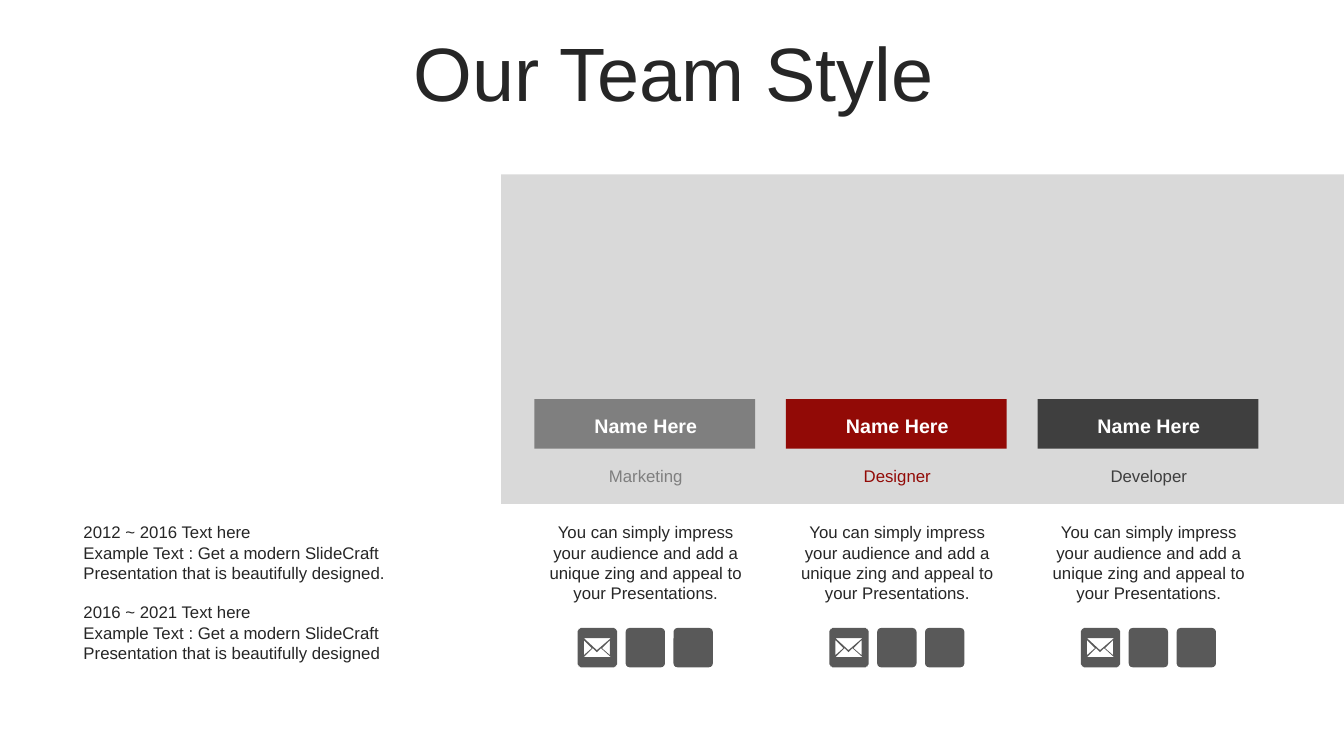
from math import cos, pi, sin

from pptx import Presentation
from pptx.dml.color import RGBColor
from pptx.enum.shapes import MSO_SHAPE
from pptx.enum.text import MSO_ANCHOR, MSO_AUTO_SIZE, PP_ALIGN
from pptx.util import Inches, Pt

RECTANGLE = MSO_SHAPE.RECTANGLE
ROUNDED = MSO_SHAPE.ROUNDED_RECTANGLE
TOP, MIDDLE = MSO_ANCHOR.TOP, MSO_ANCHOR.MIDDLE
LEFT, CENTER = PP_ALIGN.LEFT, PP_ALIGN.CENTER
NO_AUTOFIT = MSO_AUTO_SIZE.NONE

SLIDE_WIDTH, SLIDE_HEIGHT = 13.33, 7.5
INK, PANEL, ICON, WHITE = "262626", "D9D9D9", "595959", "FFFFFF"
MEMBER_LEFT, MEMBER_PITCH, BANNER_WIDTH = 5.3, 2.495, 2.19
TEXT_INSET, TEXT_WIDTH = 0.02, 2.17
BANNER_TOP, NAME_TOP, ROLE_TOP, BODY_TOP, ICON_TOP = 3.96, 4.06, 4.54, 5.13, 6.23
ICON_INSET, ICON_PITCH, ICON_SIZE, ICON_COUNT = 0.43, 0.475, 0.39, 3
ICON_UNITS, CORNER_UNITS = 39, 4

MEMBERS = [("Marketing", "7F7F7F"), ("Designer", "920A06"), ("Developer", "3F3F3F")]
MEMBER_TEXT = ("You can simply impress your audience and add a unique zing "
               "and appeal to your Presentations.")
HISTORY_TEXT = "Example Text : Get a modern SlideCraft Presentation that is beautifully designed"
HISTORY = [("2012 ~ 2016 Text here", 0), (HISTORY_TEXT + ".", 0),
           ("2016 ~ 2021 Text here", 14), (HISTORY_TEXT, 0)]
ENVELOPE_PARTS = [
    [(23, 20), (19, 24), (15, 20), (6, 29), (33, 29)],
    [(32, 12), (25, 19), (24, 20), (32, 27)],
    [(6, 12), (6, 27), (14, 20)],
    [(6, 10), (19, 22), (33, 10)],
]


def color(hex_value):
    """Return the colour for a hex string."""
    return RGBColor.from_string(hex_value)


def box(left, top, width, height):
    """Return a frame in slide units from inches."""
    return [Inches(length) for length in (left, top, width, height)]


def paint(shape, fill):
    """Give a shape a plain fill without line or shadow."""
    shape.shadow.inherit = False
    shape.fill.solid()
    shape.fill.fore_color.rgb = color(fill)
    shape.line.fill.background()


def add_block(slide, kind, frame, fill):
    """Add a plain preset shape."""
    shape = slide.shapes.add_shape(kind, *box(*frame))
    paint(shape, fill)
    return shape


def write(shape, lines, size, ink, bold=False, align=CENTER, anchor=TOP):
    """Write (text, space before) lines into a shape."""
    frame = shape.text_frame
    frame_format = {"word_wrap": True, "auto_size": NO_AUTOFIT, "vertical_anchor": anchor}
    for name, value in frame_format.items():
        setattr(frame, name, value)
    for index, (text, space) in enumerate(lines):
        paragraph = frame.paragraphs[0] if index == 0 else frame.add_paragraph()
        paragraph.text = text
        paragraph.alignment = align
        if space:
            paragraph.space_before = Pt(space)
        font_format = {"name": "Arial", "size": Pt(size), "bold": bold}
        for name, value in font_format.items():
            setattr(paragraph.font, name, value)
        paragraph.font.color.rgb = color(ink)


def add_text(slide, frame, lines, size, ink, **options):
    """Add a text box."""
    write(slide.shapes.add_textbox(*box(*frame)), lines, size, ink, **options)


def rounded_outline(size, radius, steps=6):
    """Return the points of a square with rounded corners."""
    near, far = radius, size - radius
    centers = [(far, far), (near, far), (near, near), (far, near)]
    return [(x + radius * cos(angle), y + radius * sin(angle))
            for quarter, (x, y) in enumerate(centers)
            for angle in [(quarter + step / steps) * pi / 2 for step in range(steps + 1)]]


def add_envelope(slide, left, top):
    """Add a mail icon whose envelope is cut out of a rounded square."""
    outline = rounded_outline(ICON_UNITS, CORNER_UNITS)
    scale = Inches(ICON_SIZE) / ICON_UNITS
    builder = slide.shapes.build_freeform(*outline[0], scale=scale)
    builder.add_line_segments(outline[1:], close=True)
    for part in ENVELOPE_PARTS:
        builder.move_to(*part[0])
        builder.add_line_segments(part[1:], close=True)
    paint(builder.convert_to_shape(Inches(left), Inches(top)), ICON)


def add_icons(slide, left):
    """Add the mail icon and the plain contact tiles in a row."""
    add_envelope(slide, left, ICON_TOP)
    for position in range(1, ICON_COUNT):
        frame = (left + position * ICON_PITCH, ICON_TOP, ICON_SIZE, ICON_SIZE)
        tile = add_block(slide, ROUNDED, frame, ICON)
        tile.adjustments[0] = CORNER_UNITS / ICON_UNITS


def add_member(slide, column, role, accent):
    """Add one team member's banner, role, text and icons."""
    left = MEMBER_LEFT + column * MEMBER_PITCH
    text_left = left + TEXT_INSET
    add_block(slide, RECTANGLE, (left, BANNER_TOP, BANNER_WIDTH, 0.49), accent)
    add_text(slide, (text_left, NAME_TOP, TEXT_WIDTH, 0.35), [("Name Here", 0)], 14, WHITE, bold=True)
    add_text(slide, (text_left, ROLE_TOP, TEXT_WIDTH, 0.35), [(role, 0)], 12, accent, anchor=MIDDLE)
    add_text(slide, (text_left, BODY_TOP, TEXT_WIDTH, 0.91), [(MEMBER_TEXT, 0)], 12, INK)
    add_icons(slide, left + ICON_INSET)


def add_title(slide, text):
    """Place and format the title placeholder."""
    title = slide.shapes.title
    title.left, title.top, title.width, title.height = box(0.35, 0.37, 12.66, 0.79)
    write(title, [(text, 0)], 54, INK, anchor=MIDDLE)
    title.text_frame.paragraphs[0].line_spacing = 0.9


def main():
    """Build and save the team slide."""
    presentation = Presentation()
    presentation.slide_width = Inches(SLIDE_WIDTH)
    presentation.slide_height = Inches(SLIDE_HEIGHT)
    slide = presentation.slides.add_slide(presentation.slide_layouts[5])
    add_title(slide, "Our Team Style")
    panel_left = 4.97
    add_block(slide, RECTANGLE, (panel_left, 1.73, SLIDE_WIDTH - panel_left, 3.27), PANEL)
    for column, (role, accent) in enumerate(MEMBERS):
        add_member(slide, column, role, accent)
    add_text(slide, (0.73, BODY_TOP, 3.73, 1.51), HISTORY, 12, INK, align=LEFT)
    presentation.save("out.pptx")


if __name__ == "__main__":
    main()
